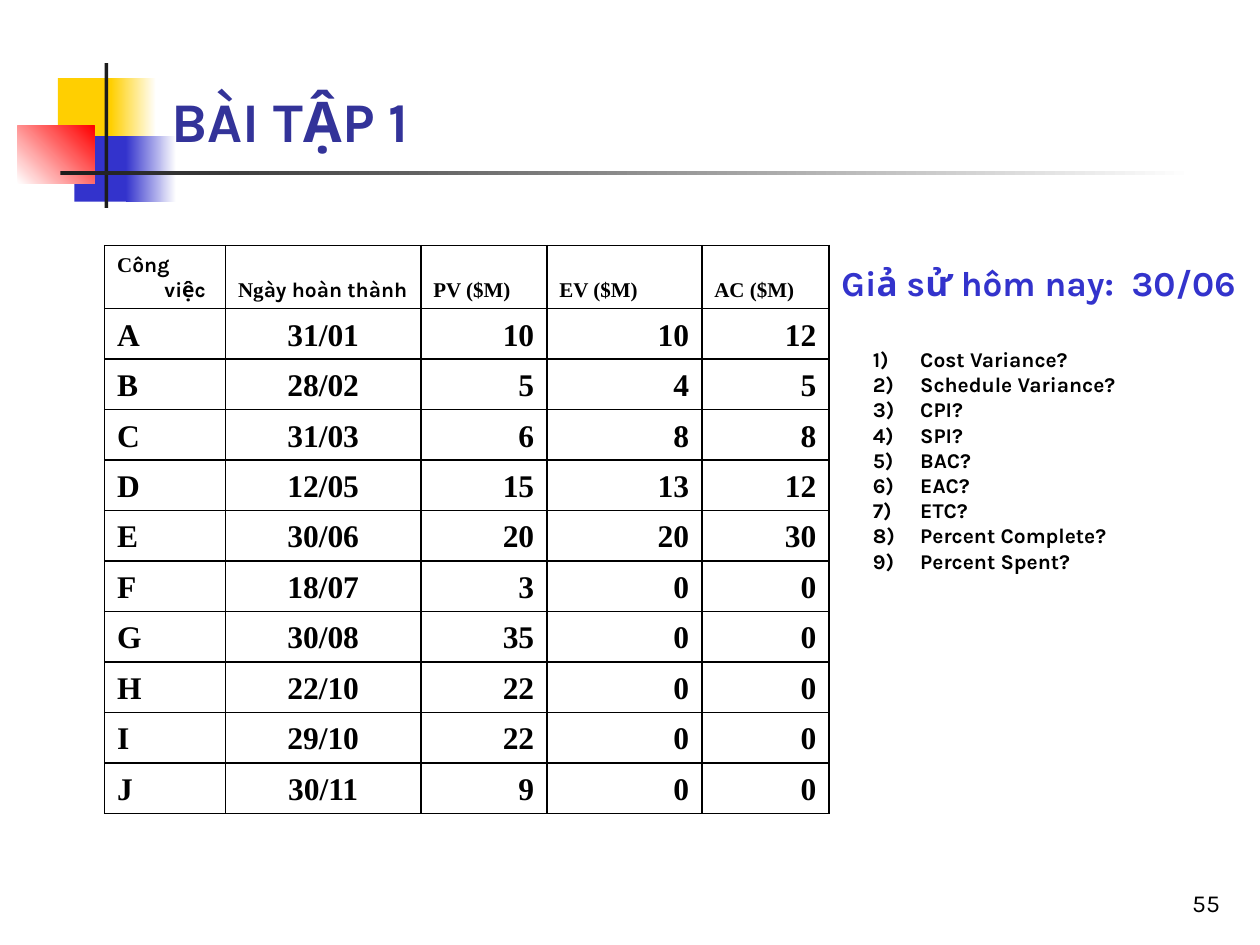
from dataclasses import dataclass

from lxml.etree import SubElement
from pptx import Presentation
from pptx.dml.color import RGBColor as Rgb
from pptx.enum.shapes import MSO_SHAPE as Shape
from pptx.enum.text import MSO_ANCHOR as Anchor, PP_ALIGN as Align
from pptx.oxml import parse_xml
from pptx.oxml.ns import nsdecls, qn
from pptx.util import Inches, Pt


@dataclass(frozen=True)
class Theme:
    """Colours, fonts and type sizes of the slide."""
    gold: str = "FFCF01"
    blue: str = "3333CC"
    red: str = "FF0000"
    dark: str = "1C1C1C"
    white: str = "FFFFFF"
    black: str = "000000"
    navy: str = "333399"
    sans: str = "Karla"
    serif: str = "Times New Roman"
    head: int = 32
    lead: int = 20
    cell: int = 18
    page: int = 14
    small: int = 12


T = Theme()
COLS, ROWS = 100, 75
UNIT = Inches(0.1)
HANG = 3.75
HEADS = [("C", "ông việc"), ("Ng", "ày hoàn thành"), ("PV ($M)", ""), ("EV ($M)", ""), ("AC ($M)", "")]
TASKS = [
    ("A", "31/01", 10, 10, 12), ("B", "28/02", 5, 4, 5),
    ("C", "31/03", 6, 8, 8), ("D", "12/05", 15, 13, 12),
    ("E", "30/06", 20, 20, 30), ("F", "18/07", 3, 0, 0),
    ("G", "30/08", 35, 0, 0), ("H", "22/10", 22, 0, 0),
    ("I", "29/10", 22, 0, 0), ("J", "30/11", 9, 0, 0),
]
ASKS = ["Cost Variance?", "Schedule Variance?", "CPI?", "SPI?", "BAC?",
        "EAC?", "ETC?", "Percent Complete?", "Percent Spent?"]


def cells(*nums):
    """Turn grid cells into lengths."""
    return [int(n * UNIT) for n in nums]


def style(para, size, color, name=None, bold=True, align=None):
    """Set the type of a whole paragraph."""
    font = para.font
    font.size, font.bold, font.color.rgb = Pt(size), bold, Rgb.from_string(color)
    if name:
        font.name = name
    if align is not None:
        para.alignment = align


def hang(para):
    """Give a paragraph a hanging indent."""
    props = para._p.get_or_add_pPr()
    size = cells(HANG)[0]
    props.set("marL", str(size))
    props.set("indent", str(-size))
    return props


def block(slide, box, start, end=None, angle=0):
    """Draw a plain or fading rectangle."""
    rect = slide.shapes.add_shape(Shape.RECTANGLE, *cells(*box))
    rect.shadow.inherit = False
    rect.line.fill.background()
    if end is None:
        rect.fill.solid()
        rect.fill.fore_color.rgb = Rgb.from_string(start)
        return
    rect.fill.gradient()
    rect.fill.gradient_angle = angle
    for stop, color in zip(rect.fill.gradient_stops, (start, end)):
        stop.color.rgb = Rgb.from_string(color)


def emblem(slide, box):
    """Draw the squares and rules beside the title."""
    x, y, w, h = box
    parts = [
        (3.2, 1.2, 4.8, 5.2, T.gold),
        (7.4, 1.2, 3.6, 5.2, T.gold, T.white),
        (4.5, 5.8, 4.6, 5.2, T.blue),
        (8.6, 5.8, 4, 5.2, T.blue, T.white),
        (0, 5, 6.1, 4.6, T.white, T.red, 45),
        (6.9, 0, 0.3, h, T.dark),
        (3.4, 8.6, w - 3.4, 0.3, T.dark, T.white),
    ]
    for left, top, wide, high, *fill in parts:
        block(slide, (x + left, y + top, wide, high), *fill)


def label(slide, box, text, anchor, wrap, *look, **more):
    """Place one line of text in a box."""
    frame = slide.shapes.add_textbox(*cells(*box)).text_frame
    frame.word_wrap, frame.vertical_anchor = wrap, anchor
    frame.text = text
    style(frame.paragraphs[0], *look, **more)


def edge(cell):
    """Draw thin black borders round a cell."""
    props = cell._tc.get_or_add_tcPr()
    for spot, side in enumerate(("lnL", "lnR", "lnT", "lnB")):
        props.insert(spot, parse_xml(
            f'<a:{side} {nsdecls("a")} w="{Pt(1)}"><a:solidFill>'
            f'<a:srgbClr val="{T.black}"/></a:solidFill></a:{side}>'))


def ready(cell):
    """Clear a cell's fill, frame it and return its paragraph."""
    cell.fill.background()
    edge(cell)
    cell.vertical_anchor = Anchor.BOTTOM
    para = cell.text_frame.paragraphs[0]
    hang(para)
    return para


def ledger(slide, box):
    """Build the table of tasks."""
    wides, first = (9.6, 15.5, 10, 12.3, 10.1), 4.9
    table = slide.shapes.add_table(len(TASKS) + 1, len(wides), *cells(*box)).table
    table.first_row = table.horz_banding = False
    for col, wide in zip(table.columns, cells(*wides)):
        col.width = wide
    step = (box[3] - first) / len(TASKS)
    for num, row in enumerate(table.rows):
        row.height = cells(step if num else first)[0]
    for col, words in enumerate(HEADS):
        para = ready(table.cell(0, col))
        style(para, T.small, T.black)
        for text, name in zip(words, (T.serif, T.sans)):
            if text:
                run = para.add_run()
                run.text, run.font.name = text, name
    sides = (Align.LEFT, Align.CENTER, *[Align.RIGHT] * 3)
    for row, task in enumerate(TASKS, 1):
        for col, (value, side) in enumerate(zip(task, sides)):
            para = ready(table.cell(row, col))
            para.add_run().text = str(value)
            style(para, T.cell, T.black, T.serif, align=side)


def quiz(slide, box):
    """Write the numbered questions."""
    frame = slide.shapes.add_textbox(*cells(*box)).text_frame
    frame.word_wrap, frame.vertical_anchor = True, Anchor.MIDDLE
    frame.text = "\n".join(ASKS)
    for para in frame.paragraphs:
        SubElement(hang(para), qn("a:buAutoNum"), type="arabicParenR")
        style(para, T.small, T.black, T.sans)


def main():
    """Build and save the slide."""
    deck = Presentation()
    deck.slide_width, deck.slide_height = cells(COLS, ROWS)
    slide = deck.slides.add_slide(deck.slide_layouts[6])
    emblem(slide, (1.4, 5, 93.4, 11.5))
    label(slide, (77, 68.3, 20.8, 5), "55", Anchor.BOTTOM, True,
          T.page, T.black, T.sans, bold=False, align=Align.RIGHT)
    ledger(slide, (8.3, 19.5, 57.5, 42.6))
    quiz(slide, (68.3, 27, 29.2, 19))
    label(slide, (65.8, 20.3, 34.9, 4.3), "Giả sử hôm nay:  30/06",
          Anchor.MIDDLE, False, T.lead, T.blue, T.sans)
    label(slide, (12.6, 1.7, 85.2, 11), "BÀI TẬP 1",
          Anchor.BOTTOM, True, T.head, T.navy, T.sans)
    deck.save("out.pptx")


if __name__ == "__main__":
    main()
